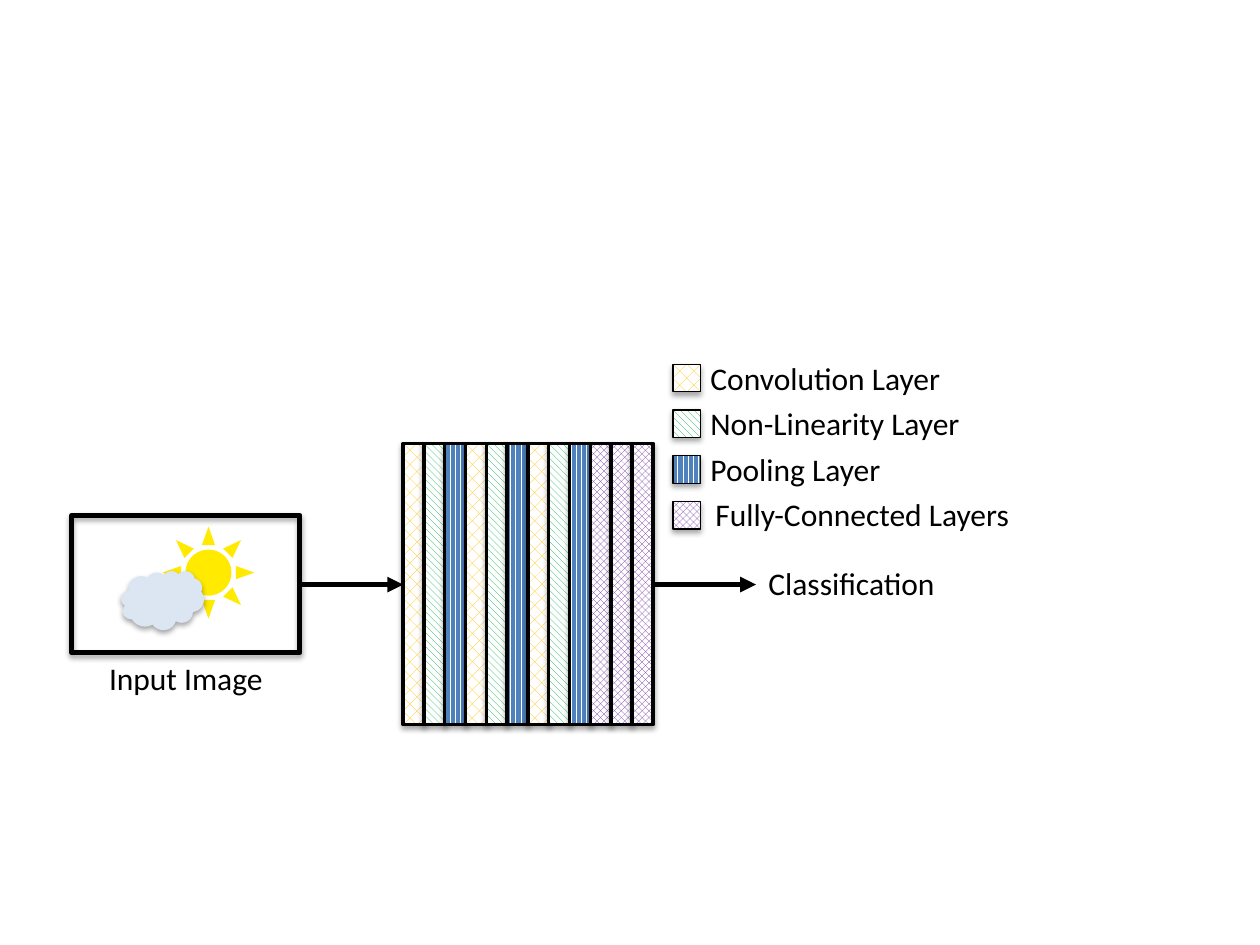
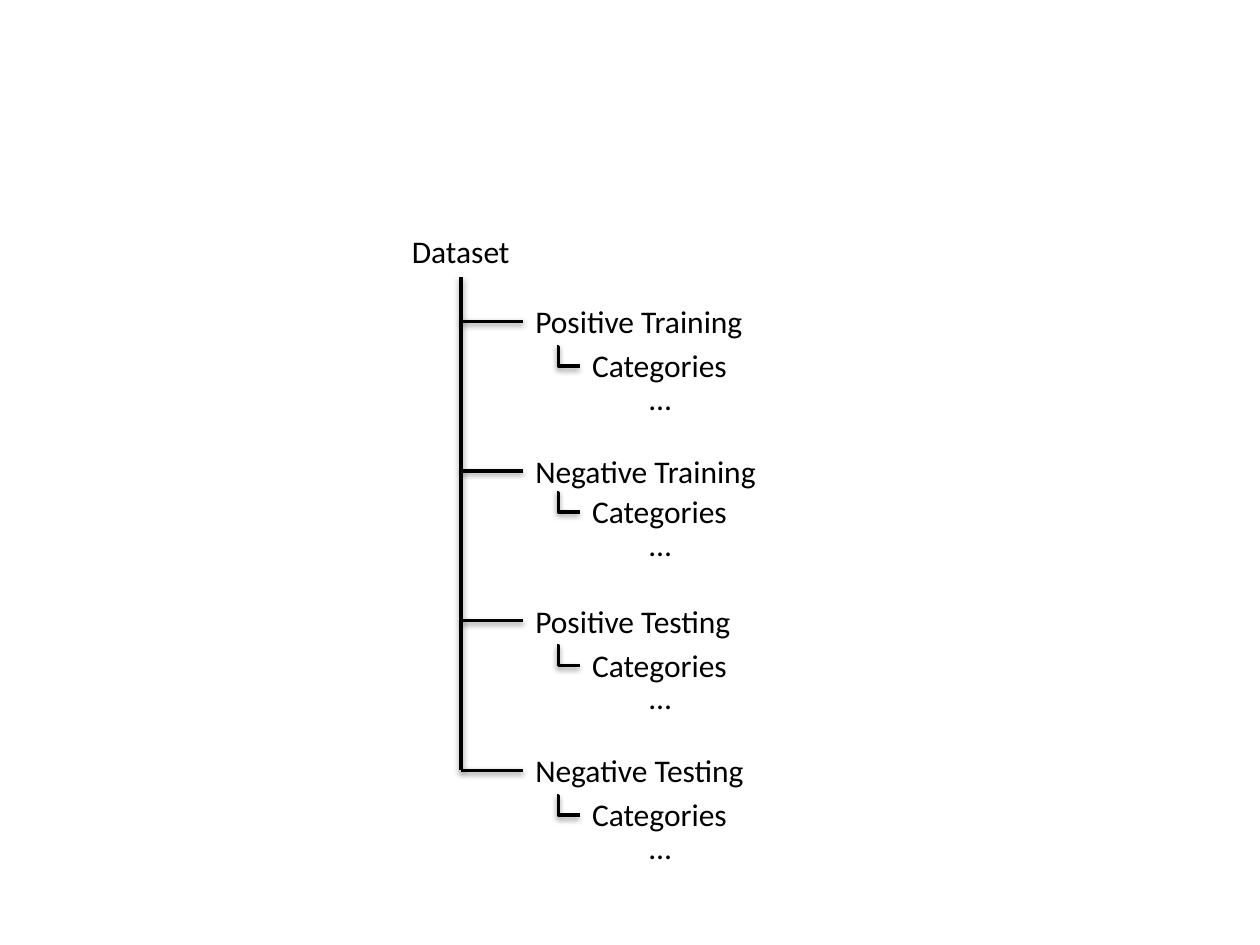
"""Build two diagram slides: a layered image classifier and a dataset tree."""
import lxml.etree
import pptx
import pptx.dml.color
import pptx.enum.dml
import pptx.enum.shapes
import pptx.enum.text
import pptx.oxml.ns
import pptx.util

COLORS = {"ink": "000000", "paper": "FFFFFF", "sun": "FFEA00", "cloud": "DCE6F2",
          "convolution": "FFC000", "nonlinearity": "00B050",
          "pooling": "4F81BD", "connected": "7030A0"}
RGB = {name: pptx.dml.color.RGBColor.from_string(value) for name, value in COLORS.items()}
FONT, FONT_SIZE = "Calibri", 18
SHAPE = pptx.enum.shapes.MSO_SHAPE
CONNECTOR = pptx.enum.shapes.MSO_CONNECTOR
PATTERN = pptx.enum.dml.MSO_PATTERN
ALIGN = pptx.enum.text.PP_ALIGN
qn = pptx.oxml.ns.qn

deck = pptx.Presentation()
deck.slide_width = pptx.util.Inches(10)
deck.slide_height = pptx.util.Inches(7.5)
COL = deck.slide_width / 100
ROW = deck.slide_height / 75
TEXT_ROWS = 4
SHAPE_SHADOW = (35000, 23000)
LINE_SHADOW = (38000, 20000)


def outline(item, weight, shadow=None):
    """Set the line and the shadow of a shape or connector."""
    if weight:
        item.line.color.rgb = RGB["ink"]
        item.line.width = pptx.util.Pt(weight)
    else:
        item.line.fill.background()
    effects = lxml.etree.SubElement(item._element.spPr, qn("a:effectLst"))
    if shadow:
        alpha, distance = shadow
        outer = lxml.etree.SubElement(effects, qn("a:outerShdw"), blurRad="40000",
                                      dist=str(distance), dir="5400000", rotWithShape="0")
        ink = lxml.etree.SubElement(outer, qn("a:srgbClr"), val=COLORS["ink"])
        lxml.etree.SubElement(ink, qn("a:alpha"), val=str(alpha))


def label(slide, text, left, top, width, align=ALIGN.LEFT, wrap=True):
    """Write one line of text at a grid position."""
    box = slide.shapes.add_textbox(int(left * COL), int(top * ROW),
                                   int(width * COL), int(TEXT_ROWS * ROW))
    frame = box.text_frame
    frame.word_wrap = wrap
    frame.auto_size = pptx.enum.text.MSO_AUTO_SIZE.SHAPE_TO_FIT_TEXT
    paragraph = frame.paragraphs[0]
    paragraph.alignment = align
    run = paragraph.add_run()
    run.text = text
    run.font.name = FONT
    run.font.size = pptx.util.Pt(FONT_SIZE)
    run.font.color.rgb = RGB["ink"]


blank = deck.slide_layouts[6]
network = deck.slides.add_slide(blank)

for kind, left, top, width, height, color, weight, shadow in (
        (SHAPE.RECTANGLE, 5.7, 40.9, 18.1, 10.9, None, 3, SHAPE_SHADOW),
        (SHAPE.SUN, 12.9, 41.8, 7.3, 7.3, "sun", 0, None),
        (SHAPE.CLOUD_CALLOUT, 9.6, 45.3, 6.6, 4.7, "cloud", 0, SHAPE_SHADOW)):
    part = network.shapes.add_shape(kind, int(left * COL), int(top * ROW),
                                    int(width * COL), int(height * ROW))
    if color:
        part.fill.solid()
        part.fill.fore_color.rgb = RGB[color]
    else:
        part.fill.background()
    if kind == SHAPE.CLOUD_CALLOUT:
        part.adjustments[0], part.adjustments[1] = -0.05, 0
    outline(part, weight, shadow)

layer_kinds = {
    "convolution": ("Convolution Layer", PATTERN.PERCENT_25),
    "nonlinearity": ("Non-Linearity Layer", PATTERN.WIDE_DOWNWARD_DIAGONAL),
    "pooling": ("Pooling Layer", PATTERN.DARK_VERTICAL),
    "connected": ("Fully-Connected Layers", PATTERN.SOLID_DIAMOND)}
stack = ["convolution", "nonlinearity", "pooling"] * 3 + ["connected"] * 3
swatches = [(kind, 32 + 1.65 * i, 35.2, 1.7, 22.3, 2) for i, kind in enumerate(stack)]
swatches += [(kind, 53.4, 28.9 + 3.63 * i, 2.2, 2.2, 0.75)
             for i, kind in enumerate(layer_kinds)]
for kind, left, top, width, height, weight in swatches:
    swatch = network.shapes.add_shape(SHAPE.RECTANGLE, int(left * COL), int(top * ROW),
                                      int(width * COL), int(height * ROW))
    swatch.fill.patterned()
    swatch.fill.pattern = layer_kinds[kind][1]
    swatch.fill.fore_color.rgb = RGB[kind]
    swatch.fill.back_color.rgb = RGB["paper"]
    outline(swatch, weight, SHAPE_SHADOW)

for start, end in ((23.7, 32), (51.8, 60)):
    flow = network.shapes.add_connector(CONNECTOR.STRAIGHT, int(start * COL), int(46.4 * ROW),
                                        int(end * COL), int(46.4 * ROW))
    outline(flow, 3)
    lxml.etree.SubElement(flow._element.spPr.find(qn("a:ln")), qn("a:tailEnd"), type="triangle")

label(network, "Classification", 60, 44.3, 23.2)
label(network, "Input Image", 5.7, 51.8, 18.1, ALIGN.CENTER)
for i, (kind, (caption, pattern)) in enumerate(layer_kinds.items()):
    label(network, caption, 55.8 if kind == "connected" else 55.4, 28 + 3.6 * i, 31.7)

tree = deck.slides.add_slide(blank)
label(tree, "Dataset", 31.7, 17.9, 9.9, wrap=False)

TRUNK, BRANCH, TWIG, LEAF = 36.6, 41.5, 44.2, 46
FIRST, STEP = 25.5, 11.88
edges = [(CONNECTOR.STRAIGHT, TRUNK, 22, TRUNK, FIRST + 3 * STEP)]
branches = (("Positive Training", 18.7, 0), ("Negative Training", 19.7, -0.3),
            ("Positive Testing", 17.7, 0), ("Negative Testing", 18.8, 0))
for i, (caption, width, nudge) in enumerate(branches):
    level = FIRST + i * STEP
    twig = level + 2 + nudge
    label(tree, caption, BRANCH, level - 2, width, wrap=False)
    label(tree, "Categories", LEAF, twig - 0.5, 12.8, wrap=False)
    label(tree, "…", LEAF, twig + 2.1, 12.8, ALIGN.CENTER)
    edges += [(CONNECTOR.STRAIGHT, TRUNK, level, BRANCH, level),
              (CONNECTOR.ELBOW, TWIG, twig, LEAF, twig + 1.55)]

for kind, left, top, right, bottom in edges:
    edge = tree.shapes.add_connector(kind, int(left * COL), int(top * ROW),
                                     int(right * COL), int(bottom * ROW))
    if kind == CONNECTOR.ELBOW:
        bends = edge._element.spPr.find(qn("a:prstGeom")).find(qn("a:avLst"))
        lxml.etree.SubElement(bends, qn("a:gd"), name="adj1", fmla="val 7100")
    outline(edge, 2, LINE_SHADOW)

deck.save("out.pptx")
